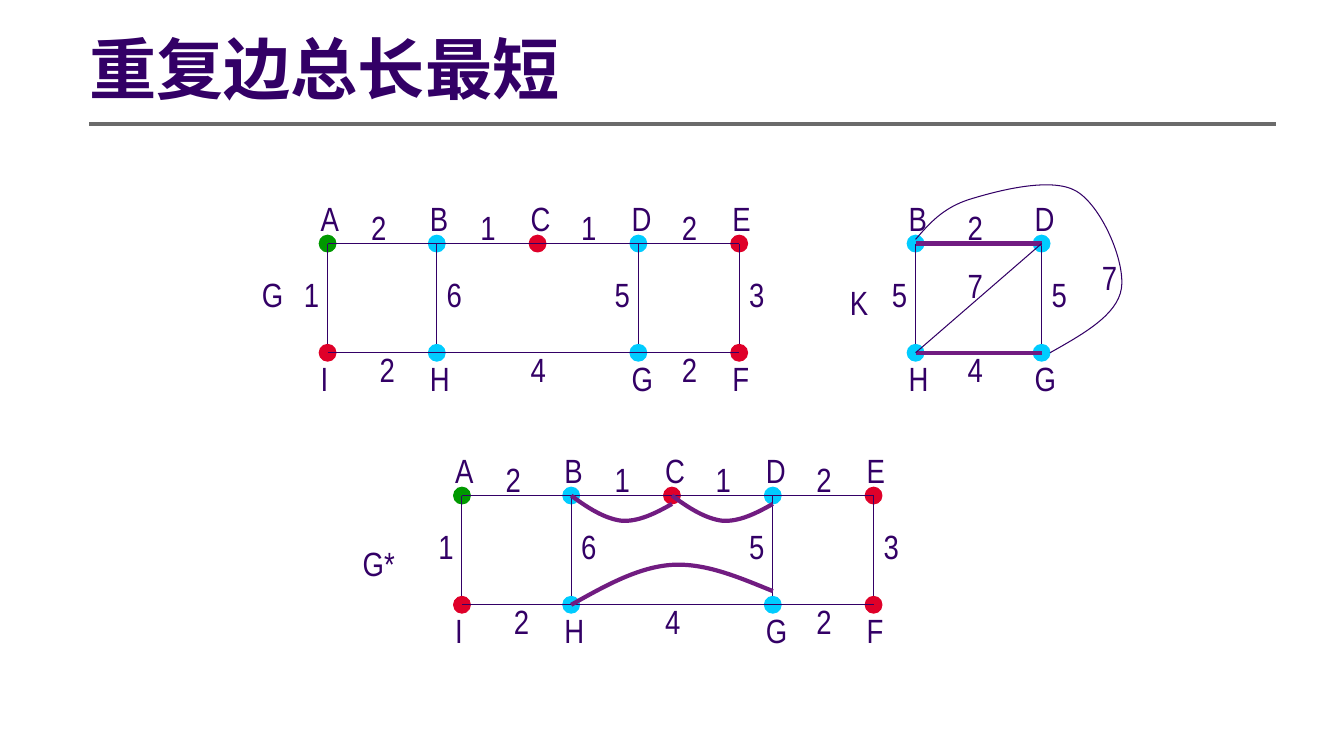
from dataclasses import dataclass

from lxml.etree import SubElement
from pptx import Presentation
from pptx.dml.color import RGBColor
from pptx.enum.shapes import MSO_CONNECTOR, MSO_SHAPE
from pptx.enum.text import MSO_ANCHOR, MSO_AUTO_SIZE, PP_ALIGN
from pptx.oxml.ns import qn
from pptx.util import Pt

PX = 9530  # EMU per px, 1280 px across the slide


@dataclass(frozen=True)
class Theme:
    ink: str = "330066"
    rule: str = "6B6B6B"
    repeated: str = "711C81"
    start: str = "009900"
    even: str = "DF0029"
    odd: str = "00CCFF"
    title_font: str = "Times New Roman"
    label_font: str = "Arial Narrow"
    title_size: int = 48
    label_size: int = 24
    thin: float = 0.75
    thick: float = 3


THEME = Theme()
NODE_RADIUS = 8
ROW_GAP = 104
LABEL_SIZE = 48

# Nodes: letter -> (column offset, row, colour)
STREET_NODES = {
    "A": (0, 0, THEME.start), "B": (104, 0, THEME.odd), "C": (200, 0, THEME.even),
    "D": (296, 0, THEME.odd), "E": (392, 0, THEME.even),
    "I": (0, 1, THEME.even), "H": (104, 1, THEME.odd),
    "G": (296, 1, THEME.odd), "F": (392, 1, THEME.even),
}
ODD_NODES = {
    "B": (0, 0, THEME.odd), "D": (120, 0, THEME.odd),
    "H": (0, 1, THEME.odd), "G": (120, 1, THEME.odd),
}
# Vertical edges: lower letter, weight, shift of the weight from the edge
STREET_RUNGS = [("I", "1", -32), ("H", "6", 0), ("G", "5", -32), ("F", "3", 0)]
ODD_RUNGS = [("H", "5", -32), ("G", "5", 0)]
# Weights of horizontal edges: offset, row, weight
STREET_WEIGHTS = [(32, 0, "2"), (136, 0, "1"), (232, 0, "1"), (328, 0, "2"),
                  (40, 1, "2"), (184, 1, "4"), (328, 1, "2")]
ODD_WEIGHTS = [(40, 0, "2"), (40, 1, "4")]


def style_line(line, color, width):
    line.color.rgb = RGBColor.from_string(color)
    line.width = Pt(width)


def add_span(para, text, font, size, bold=False):
    span = para.add_run()
    span.text = text
    span.font.name = font
    span.font.size = Pt(size)
    span.font.bold = bold
    span.font.color.rgb = RGBColor.from_string(THEME.ink)


def add_label(page, left, top, text, width=LABEL_SIZE):
    box = page.shapes.add_textbox(left * PX, top * PX, width * PX, LABEL_SIZE * PX)
    box.text_frame.word_wrap = True
    box.text_frame.auto_size = MSO_AUTO_SIZE.SHAPE_TO_FIT_TEXT
    add_span(box.text_frame.paragraphs[0], text, THEME.label_font, THEME.label_size)


def add_edge(page, start, end, color=THEME.ink, width=THEME.thin):
    edge = page.shapes.add_connector(
        MSO_CONNECTOR.STRAIGHT, *(value * PX for value in (*start, *end)))
    style_line(edge.line, color, width)
    SubElement(edge._element.spPr, qn("a:effectLst"))
    return edge


def add_node(page, x, y, color):
    size = 2 * NODE_RADIUS * PX
    node = page.shapes.add_shape(
        MSO_SHAPE.OVAL, (x - NODE_RADIUS) * PX, (y - NODE_RADIUS) * PX, size, size)
    node.shadow.inherit = False
    node.fill.solid()
    node.fill.fore_color.rgb = RGBColor.from_string(color)
    style_line(node.line, color, THEME.thin)
    return node


def add_curve(page, points, color, width):
    """Draw a chain of cubic curves: a start, then three points per curve."""
    builder = page.shapes.build_freeform(*points[0], scale=PX)
    builder.add_line_segments(points[1:], close=False)
    curve = builder.convert_to_shape()
    # Turn each three line segments into one cubic segment
    segments = list(curve._element.iter(qn("a:lnTo")))
    outline = segments[0].getparent()
    for first in range(0, len(segments), 3):
        cubic = SubElement(outline, qn("a:cubicBezTo"))
        for segment in segments[first:first + 3]:
            cubic.append(segment[0])
            outline.remove(segment)
    curve.shadow.inherit = False
    curve.fill.background()
    style_line(curve.line, color, width)


def add_graph(page, left, top, nodes, rungs, weights, color, width):
    """Draw a two-row graph; color and width style its horizontal edges."""
    discs = {}
    for letter, (offset, row, fill) in nodes.items():
        x, y = left + offset, top + row * ROW_GAP
        discs[letter] = add_node(page, x, y, fill)
        add_label(page, x - 16, y - LABEL_SIZE * (1 - row), letter)
    for letter, weight, shift in rungs:
        x = left + nodes[letter][0]
        edge = add_edge(page, (x, top), (x, top + ROW_GAP - NODE_RADIUS))
        edge.end_connect(discs[letter], 0)
        add_label(page, x + shift, top + 24, weight)
    right = left + max(offset for offset, _, _ in nodes.values())
    for y in (top, top + ROW_GAP):
        add_edge(page, (left, y), (right, y), color, width)
    for offset, row, weight in weights:
        add_label(page, left + offset, top + (ROW_GAP - 8 if row else -40), weight)


def add_title(page, text):
    title = page.shapes.title
    title.left, title.top, title.width, title.height = (
        value * PX for value in (85, 21, 1130, 97))
    frame = title.text_frame
    frame.margin_left = 0
    frame.vertical_anchor = MSO_ANCHOR.MIDDLE
    frame.auto_size = MSO_AUTO_SIZE.NONE
    para = frame.paragraphs[0]
    para.alignment = PP_ALIGN.LEFT
    para.line_spacing = 0.9
    add_span(para, text, THEME.title_font, THEME.title_size, bold=True)
    add_edge(page, (85, 118), (1215, 118), THEME.rule, THEME.thick)


def main():
    deck = Presentation()
    deck.slide_width, deck.slide_height = 1280 * PX, 720 * PX
    page = deck.slides.add_slide(deck.slide_layouts[5])
    add_title(page, "重复边总长最短")

    # Graph G and, below it, G* with the same streets
    for left, top in ((312, 232), (440, 472)):
        add_graph(page, left, top, STREET_NODES, STREET_RUNGS, STREET_WEIGHTS,
                  THEME.ink, THEME.thin)
    add_label(page, 240, 256, "G")
    add_label(page, 336, 512, "G*", width=64)

    # Repeated edges of G*
    for x in (544, 640):
        add_curve(page, [(x, 472), (x + 16, 484), (x + 32, 494), (x + 48, 496),
                         (x + 64, 497), (x + 80, 489), (x + 96, 480)],
                  THEME.repeated, THEME.thick)
    add_curve(page, [(544, 576), (576, 558), (608, 540), (640, 538),
                     (672, 536), (704, 550), (736, 563)],
              THEME.repeated, THEME.thick)

    # Graph K of the odd nodes, with its diagonal and outer edge
    add_graph(page, 872, 232, ODD_NODES, ODD_RUNGS, ODD_WEIGHTS,
              THEME.repeated, THEME.thick)
    add_edge(page, (872, 336), (992, 232))
    add_curve(page, [(1000, 336), (1032, 318), (1064, 300), (1068, 275),
                     (1072, 249), (1049, 196), (1025, 182),
                     (1001, 168), (949, 182), (923, 190),
                     (898, 198), (885, 213), (872, 228)],
              THEME.ink, THEME.thin)
    add_label(page, 912, 248, "7")
    add_label(page, 1040, 240, "7")
    add_label(page, 800, 264, "K")

    deck.save("out.pptx")


if __name__ == "__main__":
    main()
